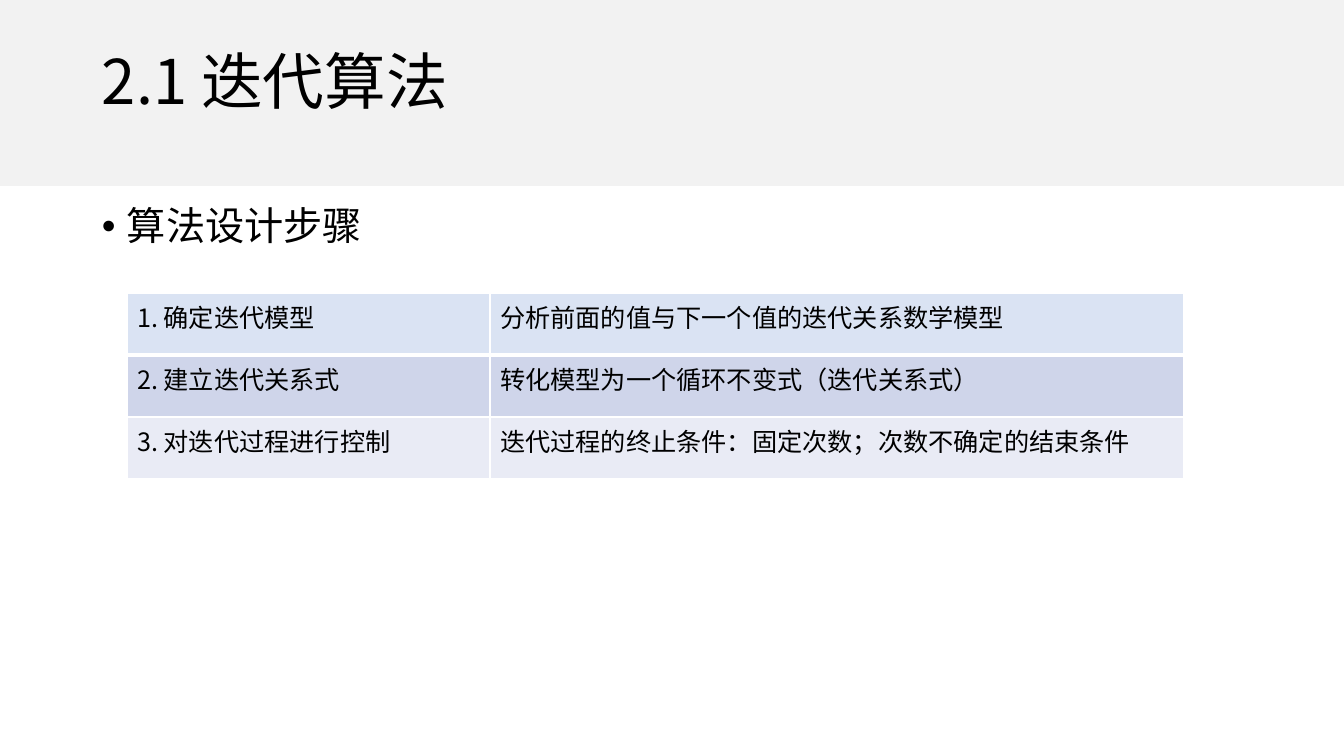
from pptx import Presentation
from pptx.dml.color import RGBColor
from pptx.enum.shapes import MSO_SHAPE
from pptx.enum.text import MSO_ANCHOR
from pptx.oxml.ns import qn
from pptx.util import Pt
from lxml.etree import SubElement

TITLE = "2.1 迭代算法"
HEADING = "算法设计步骤"
STEPS = [
    ("1. 确定迭代模型", "分析前面的值与下一个值的迭代关系数学模型"),
    ("2. 建立迭代关系式", "转化模型为一个循环不变式（迭代关系式）"),
    ("3. 对迭代过程进行控制", "迭代过程的终止条件：固定次数；次数不确定的结束条件"),
]
FONT = "Noto Sans CJK SC"
COLORS = {"text": "000000", "band": "F2F2F2", "border": "FFFFFF"}
ROW_FILLS = ["DAE3F3", "CFD5EA", "E9EBF5"]
SLIDE = (1344, 756)
BAND = (0, 0, 1344, 186)
TITLE_BOX = (92, 12, 1159, 146)
HEADING_BOX = (92, 202, 1159, 66)
TABLE_AT = (127, 293)
COLUMNS = (363, 694)
ROW_HEIGHT = 62
INDENT = 25
EMU_PER_PX = 12192000 / 1344


def emu(*lengths):
    return [round(length * EMU_PER_PX) for length in lengths]


def write(frame, text, size, paragraph_format):
    para = frame.paragraphs[0]
    for name, value in paragraph_format.items():
        setattr(para, name, value)
    span = para.add_run()
    span.text = text
    for name, value in {"size": Pt(size), "name": FONT}.items():
        setattr(span.font, name, value)
    span.font.color.rgb = RGBColor.from_string(COLORS["text"])
    SubElement(span.font._element, qn("a:ea"), typeface=FONT)
    return para


def add_text(page, place, text, size, anchor, paragraph_format):
    frame = page.shapes.add_textbox(*emu(*place)).text_frame
    for name, value in {"word_wrap": True, "vertical_anchor": anchor}.items():
        setattr(frame, name, value)
    return write(frame, text, size, paragraph_format)


def add_bullet(para):
    properties = para._p.get_or_add_pPr()
    indent = emu(INDENT)[0]
    properties.set("marL", str(indent))
    properties.set("indent", str(-indent))
    SubElement(properties, qn("a:buFont"), typeface="Arial")
    SubElement(properties, qn("a:buChar"), char="•")


def add_borders(cell, widths):
    properties = cell._tc.get_or_add_tcPr()
    for side, width in widths.items():
        line = SubElement(properties, qn(f"a:ln{side}"), w=str(Pt(width)))
        fill = SubElement(line, qn("a:solidFill"))
        SubElement(fill, qn("a:srgbClr"), val=COLORS["border"])


def add_steps(page):
    size = (sum(COLUMNS), ROW_HEIGHT * len(STEPS))
    table = page.shapes.add_table(
        len(STEPS), len(COLUMNS), *emu(*TABLE_AT, *size)
    ).table
    for column, width in zip(table.columns, emu(*COLUMNS)):
        column.width = width
    for row, texts in enumerate(STEPS):
        table.rows[row].height = emu(ROW_HEIGHT)[0]
        widths = {
            "L": 1,
            "R": 1,
            "T": 3 if row == 1 else 1,
            "B": 3 if row == 0 else 1,
        }
        for column, text in enumerate(texts):
            cell = table.cell(row, column)
            add_borders(cell, widths)
            cell.fill.solid()
            cell.fill.fore_color.rgb = RGBColor.from_string(ROW_FILLS[row])
            write(cell.text_frame, text, 18, {})


def main():
    deck = Presentation()
    deck.slide_width, deck.slide_height = emu(*SLIDE)
    page = deck.slides.add_slide(deck.slide_layouts[6])

    band = page.shapes.add_shape(MSO_SHAPE.RECTANGLE, *emu(*BAND))
    band.shadow.inherit = False
    band.fill.solid()
    band.fill.fore_color.rgb = RGBColor.from_string(COLORS["band"])
    band.line.fill.background()

    add_text(page, TITLE_BOX, TITLE, 44, MSO_ANCHOR.MIDDLE, {"line_spacing": 0.9})
    heading = add_text(
        page, HEADING_BOX, HEADING, 28, MSO_ANCHOR.TOP,
        {"line_spacing": 0.9, "space_before": Pt(10)},
    )
    add_bullet(heading)
    add_steps(page)
    deck.save("out.pptx")


if __name__ == "__main__":
    main()
